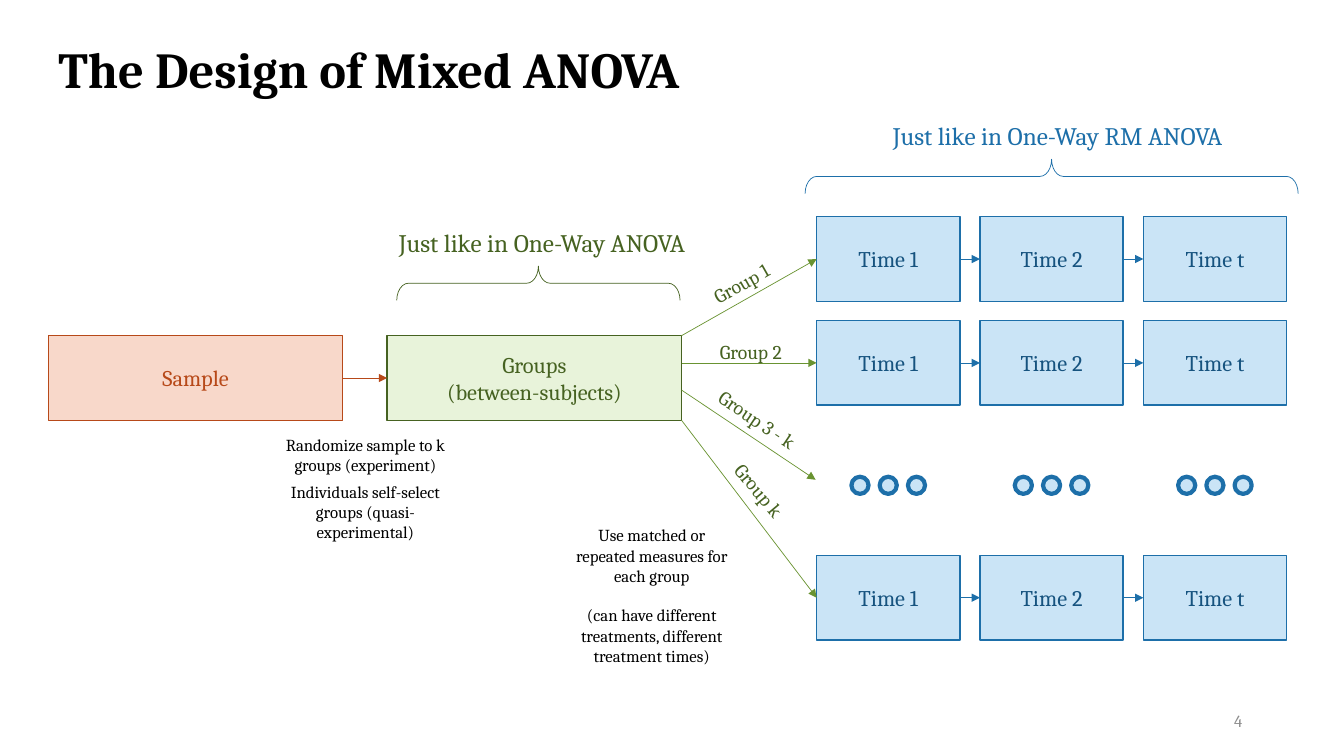
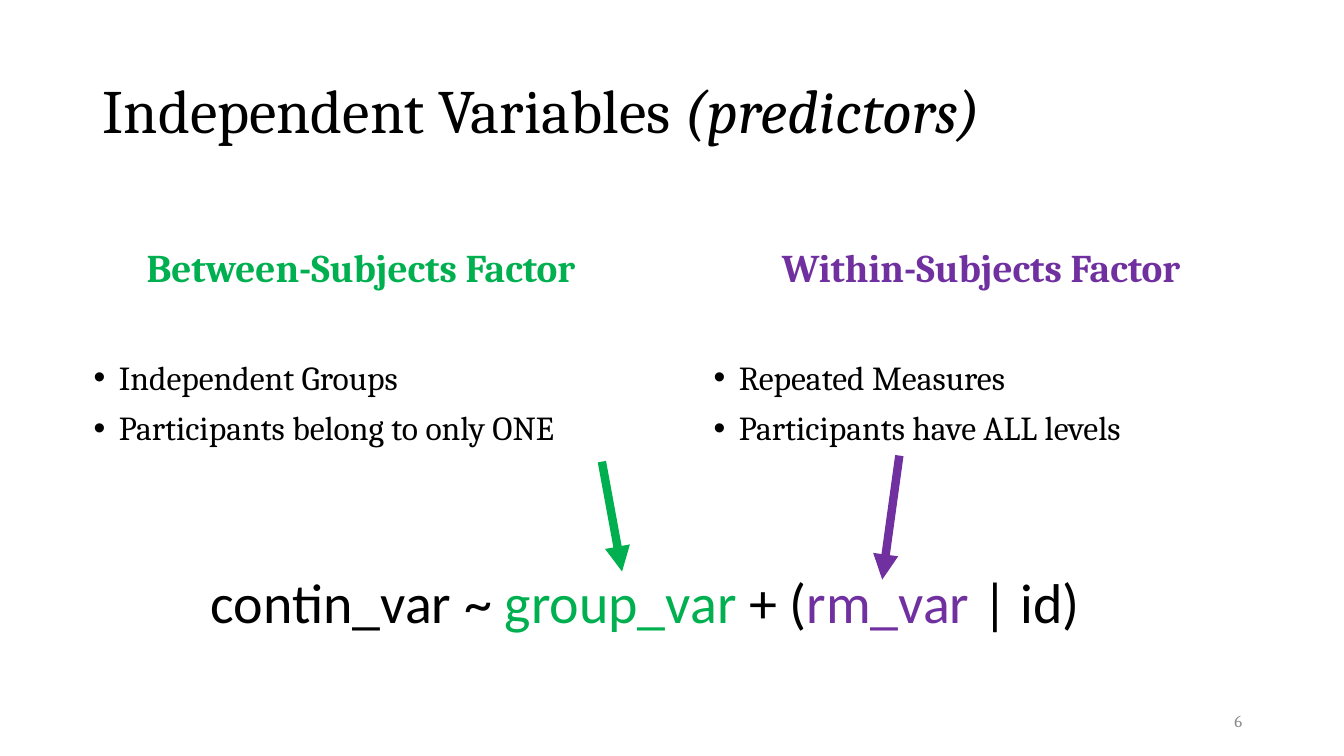
from dataclasses import dataclass

from pptx import Presentation
from pptx.dml.color import RGBColor
from pptx.enum.shapes import MSO_CONNECTOR, MSO_SHAPE
from pptx.enum.text import MSO_ANCHOR, MSO_AUTO_SIZE, PP_ALIGN
from pptx.oxml.ns import qn
from pptx.util import Inches, Pt
from lxml.etree import SubElement

BLACK = RGBColor(0x00, 0x00, 0x00)
GRAY = RGBColor(0x8C, 0x8C, 0x8C)
RUST = RGBColor(0xB7, 0x49, 0x19)
RUST_PALE = RGBColor(0xF8, 0xD8, 0xCA)
OLIVE = RGBColor(0x46, 0x62, 0x21)
OLIVE_MID = RGBColor(0x69, 0x93, 0x31)
OLIVE_PALE = RGBColor(0xE8, 0xF3, 0xDA)
BLUE = RGBColor(0x1D, 0x6F, 0xA9)
BLUE_DARK = RGBColor(0x16, 0x53, 0x7F)
BLUE_PALE = RGBColor(0xCA, 0xE4, 0xF6)
GREEN = RGBColor(0x00, 0xB0, 0x50)
PURPLE = RGBColor(0x70, 0x30, 0xA0)

LEFT, CENTER, RIGHT = PP_ALIGN.LEFT, PP_ALIGN.CENTER, PP_ALIGN.RIGHT


@dataclass
class Run:
    text: str
    size: int = 16
    color: RGBColor = BLACK
    bold: bool = False
    italic: bool = False
    font: str = "Cambria"


@dataclass
class Para:
    runs: list
    align: int = CENTER
    before: int = 0
    spacing: float = 1.0
    bullet: bool = False


class Deck:
    """Shared style, plus the slide being drawn."""

    def __init__(self):
        self.prs = Presentation()
        self.prs.slide_width = Inches(13.33)
        self.prs.slide_height = Inches(7.5)

    def new_slide(self, number):
        self.s = self.prs.slides.add_slide(self.prs.slide_layouts[6])
        self.text((9.42, 6.95, 3, 0.4),
                  [Para([Run(number, 12, GRAY)], RIGHT)], middle=True)

    def fill_text(self, tf, paras):
        for i, para in enumerate(paras):
            p = tf.paragraphs[0] if i == 0 else tf.add_paragraph()
            if para.bullet:
                pPr = p._p.get_or_add_pPr()
                pPr.set("marL", str(Inches(0.25)))
                pPr.set("indent", str(-Inches(0.25)))
                SubElement(pPr, qn("a:buFont")).set("typeface", "Arial")
                SubElement(pPr, qn("a:buChar")).set("char", "•")
            p.alignment = para.align
            p.line_spacing = para.spacing
            p.space_before = Pt(para.before)
            for run in para.runs:
                r = p.add_run()
                r.text = run.text
                r.font.name = run.font
                r.font.size = Pt(run.size)
                r.font.bold = run.bold
                r.font.italic = run.italic
                r.font.color.rgb = run.color

    def text(self, at, paras, middle=False, wrap=True, rotation=0):
        sp = self.s.shapes.add_textbox(*map(Inches, at))
        sp.rotation = rotation
        tf = sp.text_frame
        tf.word_wrap = wrap
        tf.auto_size = MSO_AUTO_SIZE.NONE if wrap else MSO_AUTO_SIZE.SHAPE_TO_FIT_TEXT
        tf.vertical_anchor = MSO_ANCHOR.MIDDLE if middle else MSO_ANCHOR.TOP
        self.fill_text(tf, paras)

    def shape(self, kind, at, line, width, fill=None):
        sp = self.s.shapes.add_shape(kind, *map(Inches, at))
        sp.shadow.inherit = False
        if fill is None:
            sp.fill.background()
        else:
            sp.fill.solid()
            sp.fill.fore_color.rgb = fill
        sp.line.color.rgb = line
        sp.line.width = Pt(width)
        return sp

    def box(self, at, lines, fill, line, color):
        sp = self.shape(MSO_SHAPE.RECTANGLE, at, line, 1, fill)
        sp.text_frame.word_wrap = True
        sp.text_frame.vertical_anchor = MSO_ANCHOR.MIDDLE
        self.fill_text(sp.text_frame, [Para([Run(t, 16, color)]) for t in lines])
        return sp

    def brace(self, center, top, span, color):
        """Draw a brace opening downward, with its tip at the top."""
        depth = 0.34
        at = (center - depth / 2, top + depth / 2 - span / 2, depth, span)
        sp = self.shape(MSO_SHAPE.RIGHT_BRACE, at, color, 0.5)
        sp.adjustments[0] = 0.34
        sp.rotation = 270

    def arrow(self, color, start=(0, 0), end=(0, 0), source=None, target=None, width=0.5):
        """Run from source's right side to target's left side, or between points."""
        c = self.s.shapes.add_connector(MSO_CONNECTOR.STRAIGHT, *map(Inches, start + end))
        if source is not None:
            c.begin_connect(source, 3)
        if target is not None:
            c.end_connect(target, 1)
        c.line.color.rgb = color
        c.line.width = Pt(width)
        spPr = c.element.spPr
        SubElement(spPr.find(qn("a:ln")), qn("a:tailEnd")).set("type", "triangle")
        SubElement(spPr, qn("a:effectLst"))


def design_slide(deck):
    deck.new_slide("4")
    deck.text((0.48, 0.33, 7.6, 0.71),
              [Para([Run("The Design of Mixed ANOVA", 36, bold=True)], LEFT)], wrap=False)

    box_h = 0.84
    groups_right, groups_top = 6.76, 3.33
    sample = deck.box((0.48, groups_top, 2.92, box_h), ["Sample"], RUST_PALE, RUST, RUST)
    groups = deck.box((3.84, groups_top, 2.92, box_h), ["Groups", "(between-subjects)"],
                      OLIVE_PALE, OLIVE, OLIVE)
    deck.arrow(RUST, source=sample, target=groups)

    time_w = 1.42
    columns = [8.1 + 1.62 * i for i in range(3)]
    # Top of each row of times, and where its arrow leaves the groups box
    for top, leave in ((2.15, groups_top), (3.18, 3.6), (5.51, groups_top + box_h)):
        times = [deck.box((x, top, time_w, box_h), [label], BLUE_PALE, BLUE, BLUE_DARK)
                 for x, label in zip(columns, ("Time 1", "Time 2", "Time t"))]
        deck.arrow(OLIVE_MID, (groups_right, leave), target=times[0])
        for source, target in zip(times, times[1:]):
            deck.arrow(BLUE, source=source, target=target)

    deck.arrow(OLIVE_MID, (groups_right, 3.87), (8.09, 4.76))
    dot = 0.17
    for x in columns:
        for step in (-1, 0, 1):
            left = x + time_w / 2 + step * 0.28 - dot / 2
            deck.shape(MSO_SHAPE.OVAL, (left, 4.73, dot, dot), BLUE, 3, BLUE_PALE)

    for label, x, y, w, angle in (("Group 1", 6.95, 2.62, 0.89, 330.5),
                                  ("Group 2", 7.04, 3.32, 0.91, 0),
                                  ("Group 3 - k", 6.97, 4.03, 1.18, 34),
                                  ("Group k", 7.1, 4.73, 0.91, 50.2)):
        deck.text((x, y, w, 0.34), [Para([Run(label, 14, OLIVE)], LEFT)],
                  wrap=False, rotation=angle)

    for x, y, h, gap, notes in (
            (2.72, 4.26, 1.38, 5, ("Randomize sample to k groups (experiment)",
                                   "Individuals self-select groups (quasi-experimental)")),
            (5.56, 5.16, 1.51, 14, ("Use matched or repeated measures for each group",
                                    "(can have different treatments, different treatment times)"))):
        deck.text((x, y, 1.81, h),
                  [Para([Run(note, 12)], before=gap * i) for i, note in enumerate(notes)])

    for label, at, center, top, span, color in (
            ("Just like in One-Way RM ANOVA", (8.51, 1.14, 3.96, 0.4), 10.43, 1.58, 4.89, BLUE),
            ("Just like in One-Way ANOVA", (3.63, 2.21, 3.49, 0.4), 5.34, 2.64, 2.81, OLIVE)):
        deck.brace(center, top, span, color)
        deck.text(at, [Para([Run(label, 18, color)])], wrap=False)


def predictors_slide(deck):
    deck.new_slide("6")
    deck.text((0.92, 0.4, 11.5, 1.45),
              [Para([Run("Independent Variables ", 44), Run("(predictors)", 44, italic=True)],
                    LEFT, spacing=0.9)], middle=True)

    for x, color, heading, points in (
            (0.83, GREEN, "Between-Subjects Factor",
             ("Independent Groups", "Participants belong to only ONE")),
            (6.98, PURPLE, "Within-Subjects Factor",
             ("Repeated Measures", "Participants have ALL levels"))):
        paras = [Para([Run(heading, 28, color, bold=True)], spacing=0.9)]
        paras += [Para([Run(point, 24)], LEFT, before, 0.9, bullet=True)
                  for point, before in zip(points, (50, 10))]
        deck.text((x, 2.42, 5.5, 3.5), paras)

    formula = (("contin_var ~ ", BLACK), ("group_var", GREEN), (" + (", BLACK),
               ("rm_var", PURPLE), (" | id)", BLACK))
    deck.text((1.9, 5.58, 9, 0.77),
              [Para([Run(part, 40, color, font="Calibri") for part, color in formula])])
    deck.arrow(GREEN, (5.97, 4.58), (6.17, 5.67), width=6)
    deck.arrow(PURPLE, (8.92, 4.52), (8.75, 5.75), width=6)


def main():
    deck = Deck()
    design_slide(deck)
    predictors_slide(deck)
    deck.prs.save("out.pptx")


if __name__ == "__main__":
    main()
